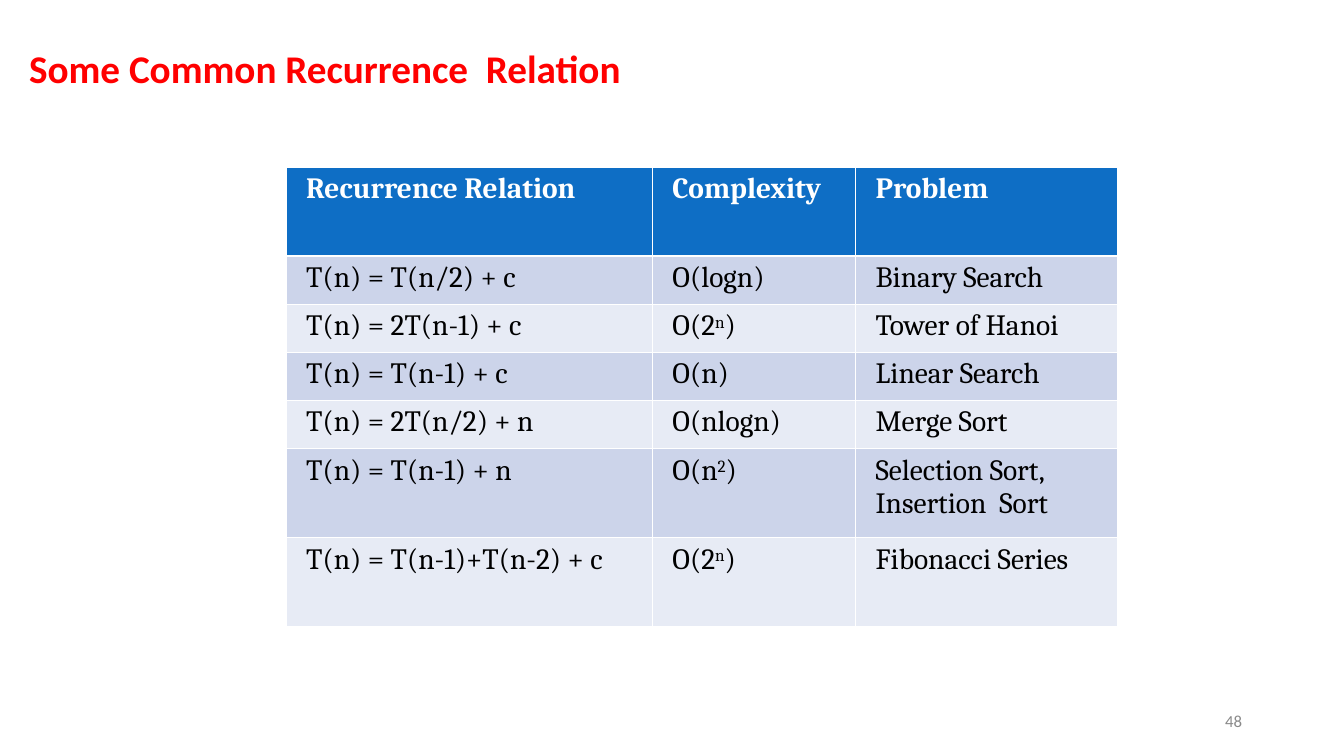
import pptx
import pptx.dml.color
import pptx.enum.text
import pptx.oxml
import pptx.oxml.ns
import pptx.util

RGB = pptx.dml.color.RGBColor
ALIGN = pptx.enum.text.PP_ALIGN
MIDDLE = pptx.enum.text.MSO_ANCHOR.MIDDLE

RED = RGB(0xFF, 0x00, 0x00)
GRAY = RGB(0x89, 0x89, 0x89)
BLUE = RGB(0x0E, 0x6E, 0xC5)
DARK = RGB(0xCC, 0xD4, 0xEA)
LIGHT = RGB(0xE7, 0xEB, 0xF5)
WHITE = RGB(0xFF, 0xFF, 0xFF)
BLACK = RGB(0x00, 0x00, 0x00)

ROWS = [
    ("Recurrence Relation", "Complexity", "Problem"),
    ("T(n) = T(n/2) + c", "O(logn)", "Binary Search"),
    ("T(n) = 2T(n-1) + c", "O(2^n)", "Tower of Hanoi"),
    ("T(n) = T(n-1) + c", "O(n)", "Linear Search"),
    ("T(n) = 2T(n/2) + n", "O(nlogn)", "Merge Sort"),
    ("T(n) = T(n-1) + n", "O(n^2)", "Selection Sort, Insertion  Sort"),
    ("T(n) = T(n-1)+T(n-2) + c", "O(2^n)", "Fibonacci Series"),
]
WIDTHS = [366, 203, 261]
HEIGHTS = [89, 48, 48, 48, 48, 89, 89]


def px(size):
    return pptx.util.Emu(size * 9080)


class Deck:
    sans = "Calibri"
    serif = "Cambria"

    def __init__(self, width, height):
        self.file = pptx.Presentation()
        self.file.slide_width = px(width)
        self.file.slide_height = px(height)
        self.slide = self.file.slides.add_slide(self.file.slide_layouts[5])

    def style(self, para, name, size, color, bold=False):
        for run in para.runs:
            font = run.font
            font.name = name
            font.size = pptx.util.Pt(size)
            font.bold = bold
            font.color.rgb = color

    def fill_text(self, shape, text, align, size, color, bold=False):
        frame = shape.text_frame
        frame.text = text
        frame.word_wrap = True
        frame.auto_size = pptx.enum.text.MSO_AUTO_SIZE.NONE
        frame.vertical_anchor = MIDDLE
        para = frame.paragraphs[0]
        para.alignment = align
        self.style(para, self.sans, size, color, bold)
        return frame

    def title(self, text, left, top, width, height):
        shape = self.slide.shapes.title
        shape.left, shape.top = px(left), px(top)
        shape.width, shape.height = px(width), px(height)
        frame = self.fill_text(shape, text, ALIGN.LEFT, 28, RED, True)
        frame.margin_left = frame.margin_right = px(7)
        frame.margin_top = frame.margin_bottom = px(3)
        frame.paragraphs[0].line_spacing = 0.9

    def number(self, text, left, top, width, height):
        box = self.slide.shapes.add_textbox(
            px(left), px(top), px(width), px(height))
        self.fill_text(box, text, ALIGN.RIGHT, 12, GRAY)

    def border(self, cell, side, points):
        space = pptx.oxml.ns.nsdecls("a")
        line = pptx.oxml.parse_xml(
            f'<a:{side} {space} w="{pptx.util.Pt(points)}"><a:solidFill>'
            f'<a:srgbClr val="{WHITE}"/></a:solidFill></a:{side}>')
        cell._tc.get_or_add_tcPr().append(line)

    def cell(self, cell, text, row):
        head = row == 0
        for side in ("lnL", "lnR", "lnT", "lnB"):
            thick = (row, side) in ((0, "lnB"), (1, "lnT"))
            self.border(cell, side, 1.47 if thick else 0.45)
        cell.fill.solid()
        cell.fill.fore_color.rgb = BLUE if head else DARK if row % 2 else LIGHT
        cell.margin_left = px(20)
        cell.margin_right = px(10)
        cell.margin_top = cell.margin_bottom = px(5)
        base, mark, rest = text.partition("^")
        cell.text_frame.text = base
        para = cell.text_frame.paragraphs[0]
        if mark:
            power = para.add_run()
            power.text = rest[0]
            power._r.get_or_add_rPr().set("baseline", "25000")
            para.add_run().text = rest[1:]
        self.style(para, self.serif, 21, WHITE if head else BLACK, head)

    def table(self, rows, left, top, widths, heights):
        grid = self.slide.shapes.add_table(
            len(rows), len(widths), px(left), px(top),
            px(sum(widths)), px(sum(heights))).table
        for col, width in zip(grid.columns, widths):
            col.width = px(width)
        for line, height in zip(grid.rows, heights):
            line.height = px(height)
        for row, texts in enumerate(rows):
            for col, text in enumerate(texts):
                self.cell(grid.cell(row, col), text, row)


def main():
    deck = Deck(1343, 755)
    deck.title("Some Common Recurrence  Relation", 22, 30, 925, 82)
    deck.number("48", 949, 700, 302, 40)
    deck.table(ROWS, 286, 167, WIDTHS, HEIGHTS)
    deck.file.save("out.pptx")


if __name__ == "__main__":
    main()
